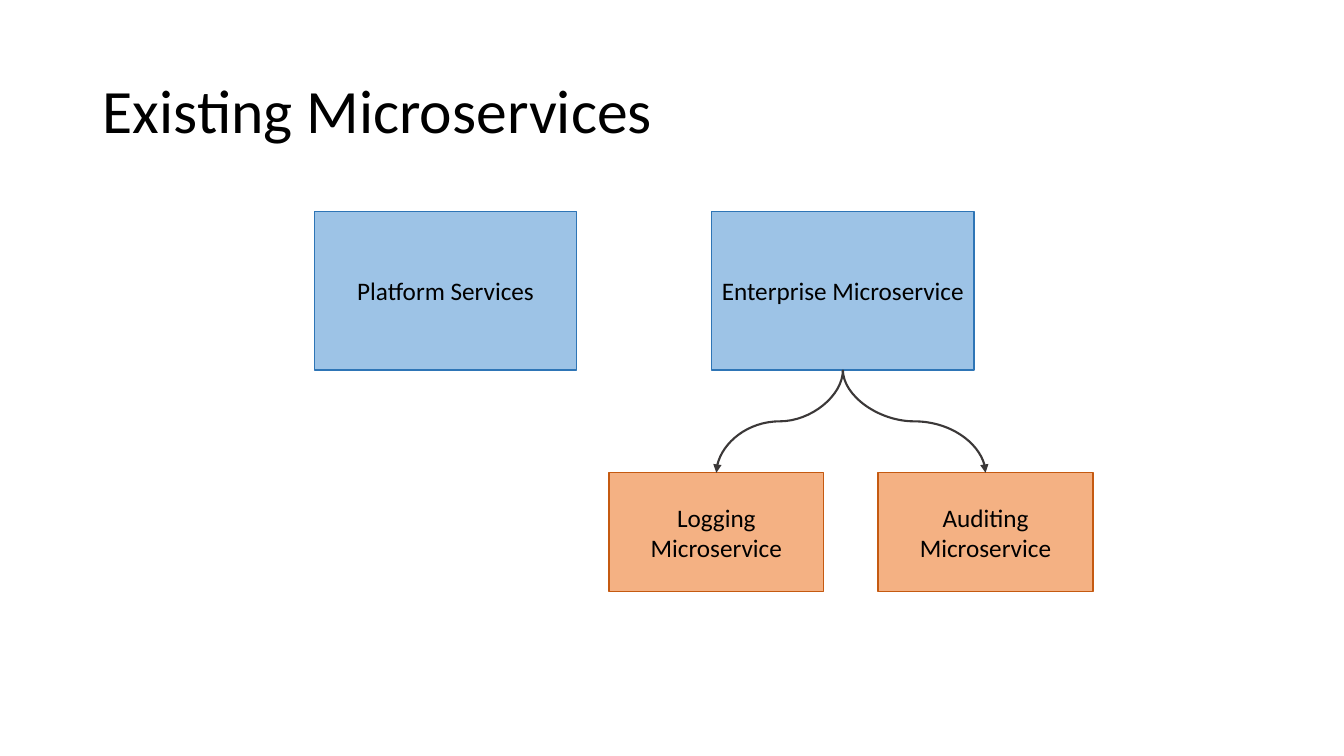
import pptx
import pptx.util
import pptx.dml.color
import pptx.enum.shapes
import pptx.enum.text
import pptx.oxml
import pptx.oxml.ns

Inches = pptx.util.Inches
Pt = pptx.util.Pt

COLORS = {
    "text": "000000",
    "platform_fill": "9DC3E6",
    "platform_line": "2E75B6",
    "service_fill": "F4B183",
    "service_line": "C55A11",
    "arrow": "3B3838",
}
BOTTOM_SITE, TOP_SITE = 2, 0


def rgb(name):
    return pptx.dml.color.RGBColor.from_string(COLORS[name])


def write_text(frame, text, size=18, align=pptx.enum.text.PP_ALIGN.CENTER, spacing=1.0):
    frame.word_wrap = True
    frame.auto_size = pptx.enum.text.MSO_AUTO_SIZE.NONE
    frame.vertical_anchor = pptx.enum.text.MSO_ANCHOR.MIDDLE
    paragraph = frame.paragraphs[0]
    paragraph.alignment = align
    paragraph.line_spacing = spacing
    run = paragraph.add_run()
    run.text = text
    run.font.size = Pt(size)
    run.font.name = "Calibri"
    run.font.color.rgb = rgb("text")


class Diagram:
    def __init__(self, slide):
        self.slide = slide

    def title(self, text, left, top, width, height):
        heading = self.slide.shapes.title
        heading.left, heading.top = Inches(left), Inches(top)
        heading.width, heading.height = Inches(width), Inches(height)
        write_text(heading.text_frame, text, size=44,
                   align=pptx.enum.text.PP_ALIGN.LEFT, spacing=0.9)

    def box(self, text, role, left, top, width, height):
        service = self.slide.shapes.add_shape(
            pptx.enum.shapes.MSO_SHAPE.RECTANGLE,
            Inches(left), Inches(top), Inches(width), Inches(height))
        service.shadow.inherit = False
        service.fill.solid()
        service.fill.fore_color.rgb = rgb(f"{role}_fill")
        service.line.color.rgb = rgb(f"{role}_line")
        service.line.width = Pt(1)
        frame = service.text_frame
        frame.margin_left = frame.margin_right = Inches(0.08)
        write_text(frame, text)
        return service

    def curved_arrow(self, parent, child):
        start_x, start_y = parent.left + parent.width // 2, parent.top + parent.height
        end_x, end_y = child.left + child.width // 2, child.top
        arrow = self.slide.shapes.add_connector(
            pptx.enum.shapes.MSO_CONNECTOR.CURVE, start_x, start_y, end_x, end_y)
        arrow.begin_connect(parent, BOTTOM_SITE)
        arrow.end_connect(child, TOP_SITE)
        drop, spread = end_y - start_y, abs(end_x - start_x)
        arrow.left = (start_x + end_x - drop) // 2
        arrow.top = (start_y + end_y - spread) // 2
        arrow.width, arrow.height = drop, spread
        to_right = end_x > start_x
        properties = arrow.element.spPr
        transform = properties.find(pptx.oxml.ns.qn("a:xfrm"))
        transform.set("rot", str((270 if to_right else 90) * 60000))
        transform.set("flipH", "1" if to_right else "0")
        transform.set("flipV", "0")
        arrow.line.color.rgb = rgb("arrow")
        arrow.line.width = Pt(1.5)
        namespace = pptx.oxml.ns.nsdecls("a")
        properties.find(pptx.oxml.ns.qn("a:ln")).append(
            pptx.oxml.parse_xml(f'<a:tailEnd {namespace} type="triangle"/>'))
        properties.append(pptx.oxml.parse_xml(f"<a:effectLst {namespace}/>"))


def main():
    deck = pptx.Presentation()
    deck.slide_width, deck.slide_height = Inches(13.33), Inches(7.5)
    diagram = Diagram(deck.slides.add_slide(deck.slide_layouts[5]))
    diagram.title("Existing Microservices", 0.92, 0.4, 11.5, 1.45)
    platform, enterprise = [
        diagram.box(text, "platform", left, 2.1, 2.6, 1.57)
        for text, left in (("Platform Services", 3.12), ("Enterprise Microservice", 7.06))]
    for text, left in (("Logging Microservice", 6.04), ("Auditing Microservice", 8.71)):
        child = diagram.box(text, "service", left, 4.69, 2.13, 1.18)
        diagram.curved_arrow(enterprise, child)
    deck.save("out.pptx")


if __name__ == "__main__":
    main()
